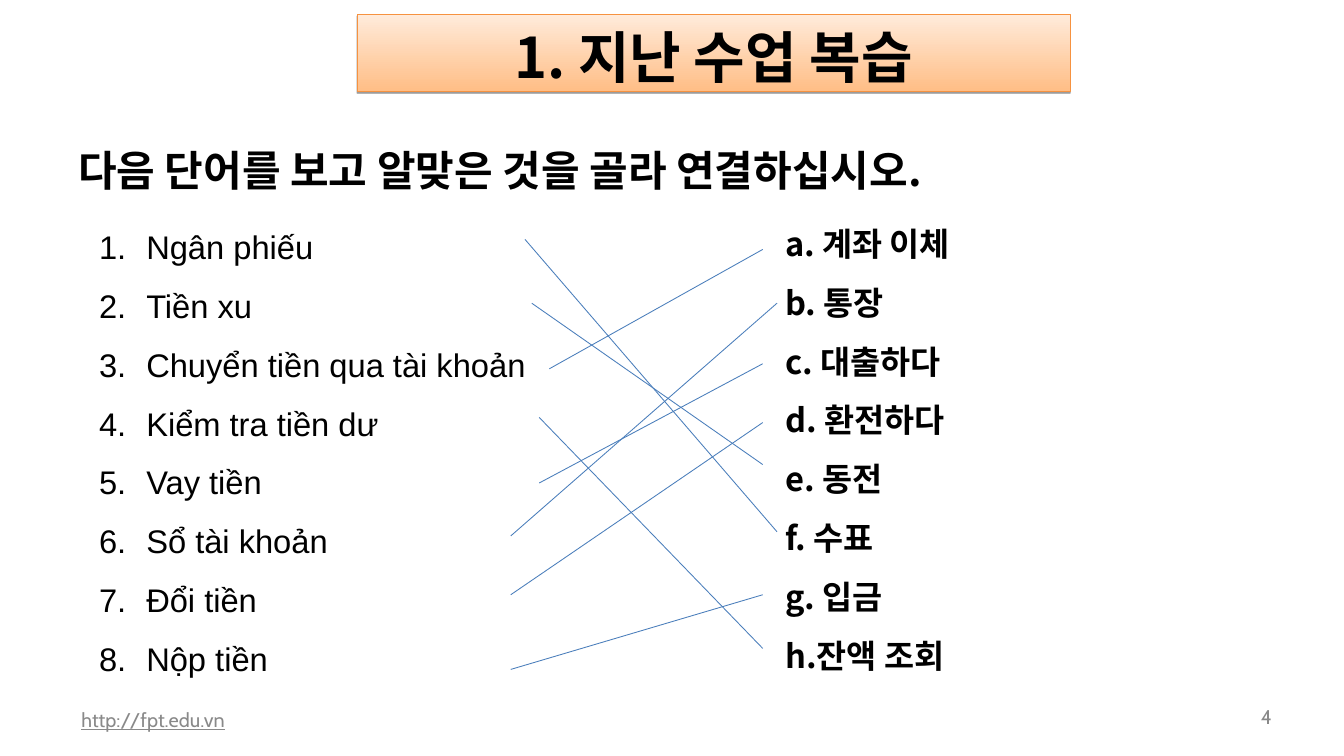
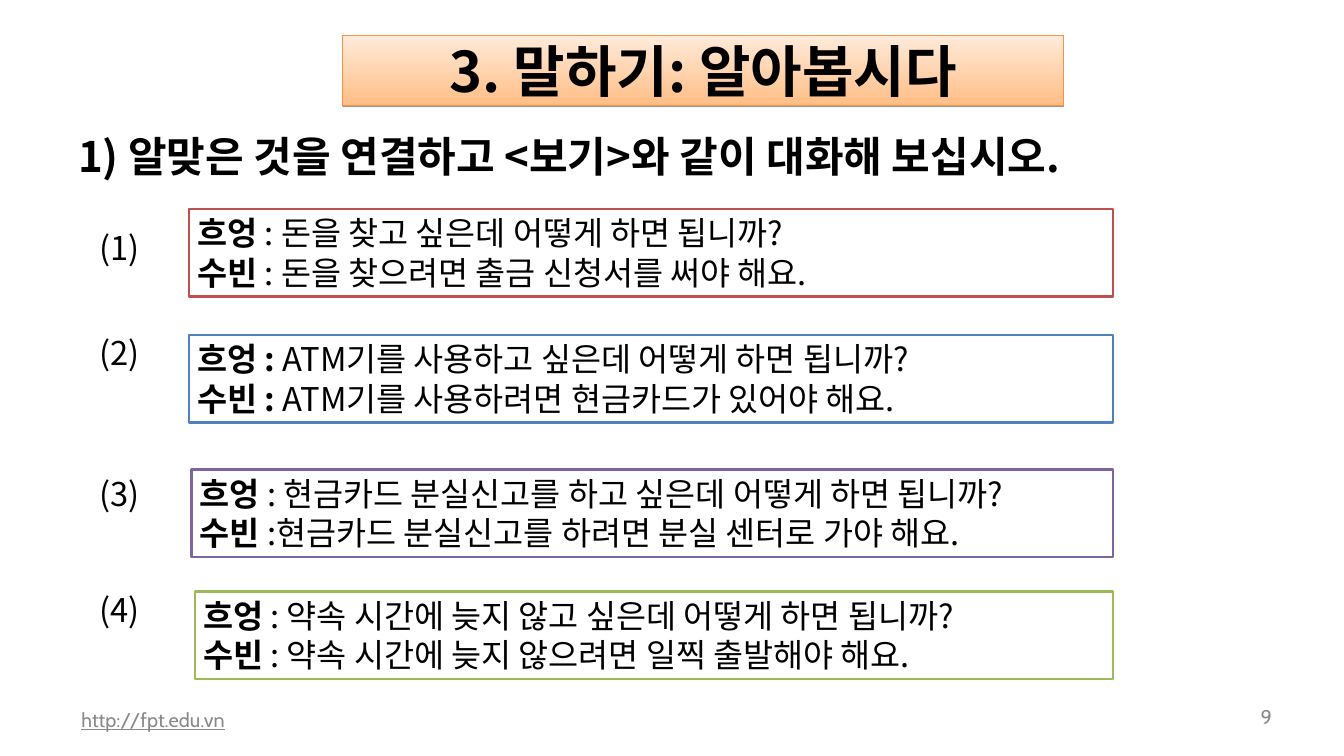
import pptx
import pptx.dml.color
import pptx.enum.shapes
import pptx.enum.text
import pptx.oxml.ns
import pptx.util
from lxml import etree

Pt = pptx.util.Pt
qn = pptx.oxml.ns.qn
ALIGN = pptx.enum.text.PP_ALIGN
ANCHOR = pptx.enum.text.MSO_ANCHOR
RECT = pptx.enum.shapes.MSO_SHAPE.RECTANGLE
STRAIGHT = pptx.enum.shapes.MSO_CONNECTOR.STRAIGHT


def color(code):
    return pptx.dml.color.RGBColor.from_string(code)


def child(node, tag, **attrs):
    """Append an XML element with the given attributes."""
    return etree.SubElement(node, qn(tag), {k: str(v) for k, v in attrs.items()})


class Deck:
    BLACK, WHITE, GRAY = "000000", "FFFFFF", "898989"
    LINK, EDGE = "4A7EBB", "F69240"
    GRADE = ("FFBE86", "FFEBDB")
    KOREAN, LATIN, SMALL = "Noto Sans CJK KR", "Arial", "Cabin"

    def __init__(self):
        self.show = pptx.Presentation()
        self.show.slide_width, self.show.slide_height = Pt(1152), Pt(648)

    def page(self, number):
        """Start a slide with its footer and page number."""
        self.slide = self.show.slides.add_slide(self.show.slide_layouts[6])
        self.foot(59.8, 365, 34.6, "http://fpt.edu.vn", ALIGN.LEFT, True)
        self.foot(1044, 56.2, 29.5, number, ALIGN.RIGHT, False)

    def foot(self, left, width, height, words, align, under):
        box = self.text((left, 599.8, width, height), [[(words, False)]], 17,
                        self.SMALL, self.GRAY, align)
        frame = box.text_frame
        frame.auto_size = pptx.enum.text.MSO_AUTO_SIZE.NONE
        frame.vertical_anchor = ANCHOR.MIDDLE
        frame.margin_left = frame.margin_right = Pt(10)
        frame.margin_top = frame.margin_bottom = Pt(5)
        frame.paragraphs[0].runs[0].font.underline = under or None

    def fill(self, frame, lines, size, face, tone=BLACK, align=ALIGN.LEFT, space=None):
        """Fill a frame with lines, each a list of (words, bold) runs."""
        frame.word_wrap = True
        for i, line in enumerate(lines):
            para = frame.paragraphs[0] if i == 0 else frame.add_paragraph()
            para.alignment = align
            para.line_spacing = space
            for words, bold in line:
                run = para.add_run()
                run.text = words
                font = run.font
                font.size, font.bold, font.name = Pt(size), bold, face
                font.color.rgb = color(tone)
                child(run._r.get_or_add_rPr(), "a:ea", typeface=face)

    def grow(self, frame):
        frame.auto_size = pptx.enum.text.MSO_AUTO_SIZE.SHAPE_TO_FIT_TEXT
        frame.vertical_anchor = ANCHOR.TOP

    def text(self, place, lines, size, face=KOREAN, tone=BLACK,
             align=ALIGN.LEFT, space=None):
        box = self.slide.shapes.add_textbox(*map(Pt, place))
        self.fill(box.text_frame, lines, size, face, tone, align, space)
        self.grow(box.text_frame)
        return box

    def rect(self, place, edge, weight):
        shape = self.slide.shapes.add_shape(RECT, *map(Pt, place))
        shape.shadow.inherit = False
        shape.line.color.rgb = color(edge)
        shape.line.width = Pt(weight)
        return shape

    def title(self, place, words, anchor, pad):
        shape = self.rect(place, self.EDGE, 0.75)
        shape.fill.gradient()
        shape.fill.gradient_angle = 90
        for stop, code in zip(shape.fill.gradient_stops, self.GRADE):
            stop.color.rgb = color(code)
        glow = child(shape._element.spPr.find(qn("a:effectLst")), "a:outerShdw",
                     dist=Pt(1.6), dir=90 * 60000, rotWithShape=0)
        child(child(glow, "a:srgbClr", val=self.BLACK), "a:alpha", val=38000)
        frame = shape.text_frame
        frame.vertical_anchor = anchor
        frame.margin_top = frame.margin_bottom = Pt(pad)
        self.fill(frame, [[(words, True)]], 48, self.KOREAN, align=ALIGN.CENTER)

    def head(self, top, width, words):
        self.text((59.8, top, width, 50.4), [[(words, True)]], 36)

    def number(self, box):
        """Number the paragraphs of a box 1., 2., 3. ..."""
        for para in box.text_frame.paragraphs:
            props = para._p.get_or_add_pPr()
            props.set("marL", str(Pt(40.5)))
            props.set("indent", str(-Pt(40.5)))
            child(child(props, "a:buClr"), "a:srgbClr", val=self.BLACK)
            child(props, "a:buFont", typeface=self.LATIN)
            child(props, "a:buAutoNum", type="arabicPeriod")

    def link(self, *ends):
        line = self.slide.shapes.add_connector(STRAIGHT, *map(Pt, ends))
        line.line.color.rgb = color(self.LINK)
        line.line.width = Pt(0.75)
        child(line._element.spPr, "a:effectLst")

    def talk(self, left, top, edge, lines):
        """Draw a framed dialogue that ends at the shared right edge."""
        shape = self.rect((left, top, 954 - left, 74.9), edge, 2)
        shape.fill.solid()
        shape.fill.fore_color.rgb = color(self.WHITE)
        self.fill(shape.text_frame, lines, 28, self.KOREAN)
        self.grow(shape.text_frame)


WORDS = ["Ngân phiếu", "Tiền xu", "Chuyển tiền qua tài khoản", "Kiểm tra tiền dư",
         "Vay tiền", "Sổ tài khoản", "Đổi tiền", "Nộp tiền"]
MATCHES = ["a. 계좌 이체", "b. 통장", "c. 대출하다", "d. 환전하다",
           "e. 동전", "f. 수표", "g. 입금", "h.잔액 조회"]
LINKS = [(450, 205.2, 666, 455.8), (455.8, 259.9, 653.8, 398.2),
         (462.2, 357.8, 653.8, 555.8), (462.2, 414, 653.8, 311.8),
         (437.8, 459.4, 666, 259.9), (437.8, 509.8, 653.8, 362.2),
         (437.8, 573.8, 653.8, 509.8), (470.9, 316.1, 653.8, 213.8)]
# label top, box left, box top, edge, question and answer split after the bold part
TALKS = [
    (192.2, 162, 179.3, "C0504D",
     ("흐엉 ", ": 돈을 찾고 싶은데 어떻게 하면 됩니까?"),
     ("수빈 ", ": 돈을 찾으려면 출금 신청서를 써야 해요.")),
    (282.2, 162, 287.3, "4F81BD",
     ("흐엉 : ", "ATM기를 사용하고 싶은데 어떻게 하면 됩니까?"),
     ("수빈 : ", "ATM기를 사용하려면 현금카드가 있어야 해요.")),
    (402.5, 164.2, 402.5, "8064A2",
     ("흐엉 ", ": 현금카드 분실신고를 하고 싶은데 어떻게 하면 됩니까?"),
     ("수빈 ", ":현금카드 분실신고를 하려면 분실 센터로 가야 해요.")),
    (501.8, 167, 506.9, "9BBB59",
     ("흐엉 ", ": 약속 시간에 늦지 않고 싶은데 어떻게 하면 됩니까?"),
     ("수빈 ", ": 약속 시간에 늦지 않으려면 일찍 출발해야 해요.")),
]


def review(deck):
    deck.page("4")
    deck.title((306, 12.2, 611.3, 66.2), "1. 지난 수업 복습", ANCHOR.TOP, 7.2)
    deck.head(120.2, 1004.4, "다음 단어를 보고 알맞은 것을 골라 연결하십시오.")
    box = deck.text((77.8, 174.2, 486, 512), [[(word, False)] for word in WORDS],
                    28, deck.LATIN, space=1.5)
    deck.number(box)
    deck.text((666, 171.4, 306, 411.1), [[(match, True)] for match in MATCHES],
              28, space=1.5)
    for ends in LINKS:
        deck.link(*ends)


def speak(deck):
    deck.page("9")
    deck.title((293.8, 30.2, 617.8, 59.8), "3. 말하기: 알아봅시다", ANCHOR.MIDDLE, 3.6)
    deck.head(108, 1092.2, "1) 알맞은 것을 연결하고 <보기>와 같이 대화해 보십시오.")
    for i, (label, left, top, edge, *lines) in enumerate(TALKS, 1):
        deck.text((77.8, label, 64.8, 41), [[(f"({i})", False)]], 28)
        deck.talk(left, top, edge, [[(name, True), (words, False)] for name, words in lines])


def main():
    deck = Deck()
    review(deck)
    speak(deck)
    deck.show.save("out.pptx")


if __name__ == "__main__":
    main()
